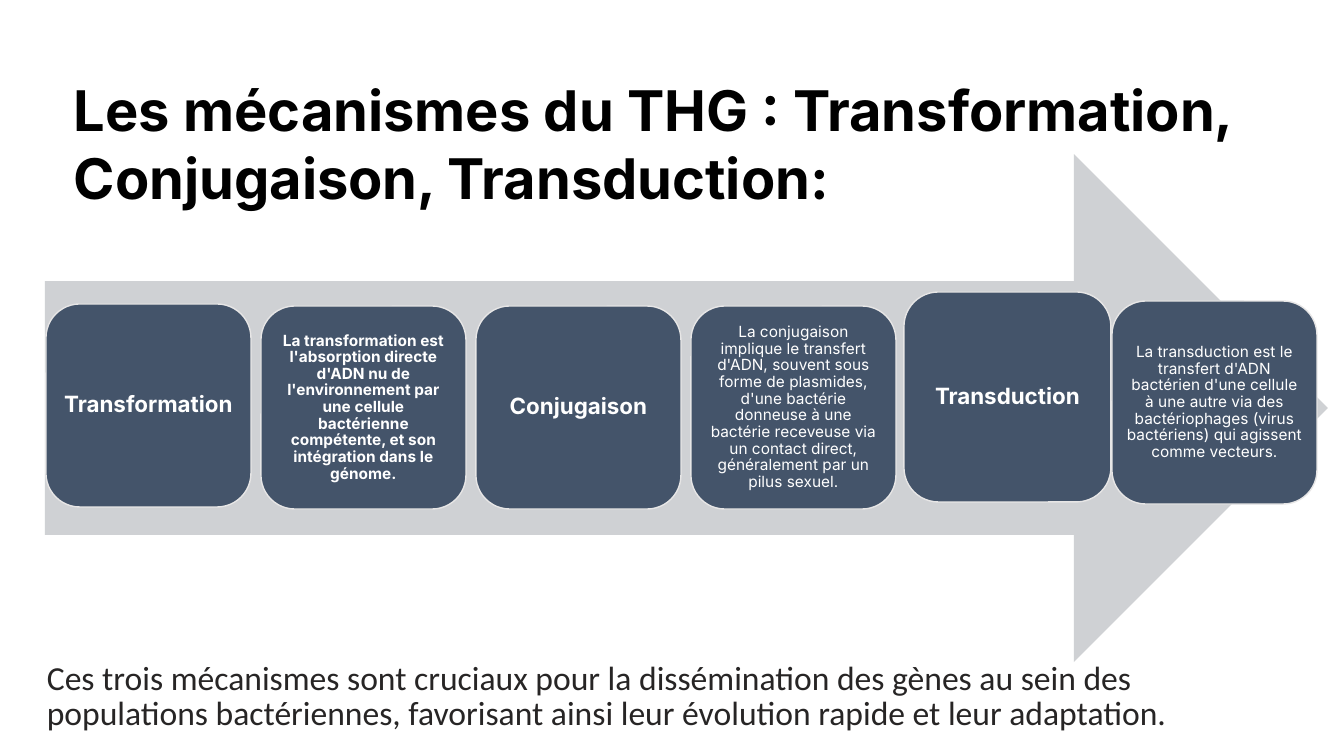
from pptx import Presentation
from pptx.dml.color import RGBColor
from pptx.enum.shapes import MSO_SHAPE
from pptx.enum.text import MSO_ANCHOR, PP_ALIGN
from pptx.util import Emu, Pt

ARROW, ROUNDED = MSO_SHAPE.RIGHT_ARROW, MSO_SHAPE.ROUNDED_RECTANGLE
MIDDLE, CENTER = MSO_ANCHOR.MIDDLE, PP_ALIGN.CENTER

TITLE = "Les mécanismes du THG : Transformation, Conjugaison, Transduction:"
CONCLUSION = (
    "Ces trois mécanismes sont cruciaux pour la dissémination des gènes au sein des "
    "populations bactériennes, favorisant ainsi leur évolution rapide et leur adaptation."
)
# text, size in points, bold, inset
CARDS = [
    ("Transformation", 16, True, 7),
    ("La transformation est l'absorption directe d'ADN nu de l'environnement par "
     "une cellule bactérienne compétente, et son intégration dans le génome.", 11, True, 5),
    ("Conjugaison", 16, True, 7),
    ("La conjugaison implique le transfert d'ADN, souvent sous forme de plasmides, "
     "d'une bactérie donneuse à une bactérie receveuse via un contact direct, "
     "généralement par un pilus sexuel.", 11, False, 5),
    ("Transduction", 16, True, 7),
    ("La transduction est le transfert d'ADN bactérien d'une cellule à une autre via "
     "des bactériophages (virus bactériens) qui agissent comme vecteurs.", 11, False, 5),
]

CARD_LEFT, CARD_TOP, CARD_PITCH, CARD_SIZE = 46, 306, 215, (205, 203)
# cards set off the regular row: left, top, width, height
MOVED_CARDS = {
    0: (46, 304, *CARD_SIZE),
    4: (904, 292, 207, 210),
    5: (1112, 301, *CARD_SIZE),
}


def px(n):
    return Emu(round(n * 914400 / 100.8))


def color(value):
    return RGBColor.from_string(value)


def add_run(p, text, size, font, fill, bold=False):
    r = p.add_run()
    r.text = text
    r.font.size = Pt(size)
    r.font.name = font
    r.font.bold = bold
    r.font.color.rgb = color(fill)


def add_block(s, box, text, size, font, fill, spacing, bold=False):
    tf = s.shapes.add_textbox(*map(px, box)).text_frame
    tf.word_wrap = True
    p = tf.paragraphs[0]
    p.line_spacing = Pt(spacing)
    add_run(p, text, size, font, fill, bold)


def add_panel(s, kind, box, fill, line=None):
    sp = s.shapes.add_shape(kind, *map(px, box))
    sp.shadow.inherit = False
    sp.fill.solid()
    sp.fill.fore_color.rgb = color(fill)
    if line:
        sp.line.color.rgb = color(line)
        sp.line.width = Pt(1)
    else:
        sp.line.fill.background()
    return sp


def add_card(s, box, text, size, bold, inset):
    tf = add_panel(s, ROUNDED, box, "44546A", "E7E6E6").text_frame
    tf.word_wrap = True
    tf.vertical_anchor = MIDDLE
    tf.margin_left = tf.margin_right = tf.margin_top = tf.margin_bottom = px(inset)
    p = tf.paragraphs[0]
    p.alignment = CENTER
    p.line_spacing = 0.9
    add_run(p, text, size, "Inter", "FFFFFF", bold)


def main():
    prs = Presentation()
    prs.slide_width, prs.slide_height = px(1344), px(756)
    s = prs.slides.add_slide(prs.slide_layouts[6])

    add_block(s, (64, 70, 1210, 149), TITLE, 40, "Inter", "000000", 48.5, True)
    add_panel(s, ARROW, (45, 154, 1283, 508), "CFD1D4")
    for i, card in enumerate(CARDS):
        regular = (CARD_LEFT + i * CARD_PITCH, CARD_TOP, *CARD_SIZE)
        add_card(s, MOVED_CARDS.get(i, regular), *card)
    add_block(s, (37, 657, 1260, 81), CONCLUSION, 24, "Calibri", "272525", 25)

    prs.save("out.pptx")


if __name__ == "__main__":
    main()
